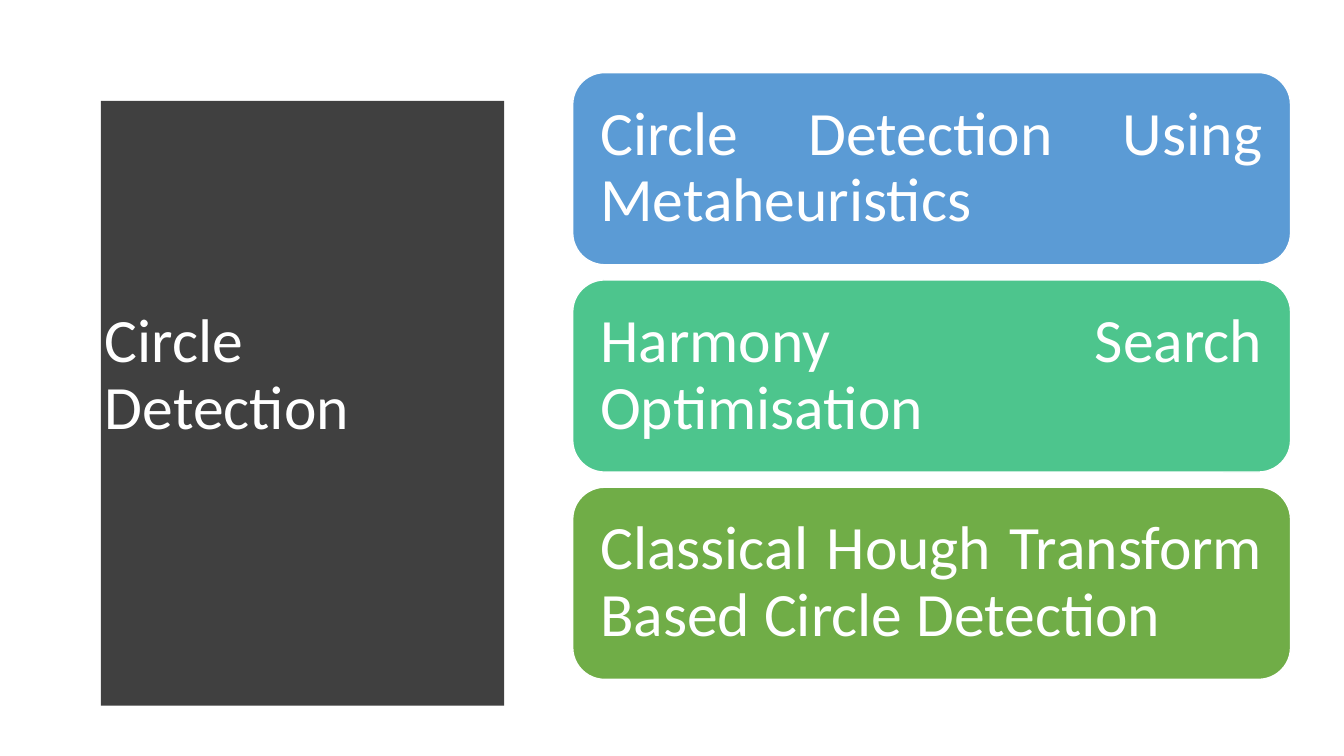
from pptx import Presentation
from pptx.dml.color import RGBColor
from pptx.enum import shapes, text
from pptx.util import Inches, Pt

WHITE = RGBColor(0xFF, 0xFF, 0xFF)
CHARCOAL = RGBColor(0x40, 0x40, 0x40)
BLUE = RGBColor(0x5B, 0x9B, 0xD5)
TEAL = RGBColor(0x4D, 0xC5, 0x8D)
GREEN = RGBColor(0x70, 0xAD, 0x47)

TOPICS = [
    ("Circle Detection Using Metaheuristics", BLUE),
    ("Harmony Search Optimisation", TEAL),
    ("Classical Hough Transform Based Circle Detection", GREEN),
]


def write(sp, words, align=text.PP_ALIGN.LEFT, size=44, color=WHITE, inset=0.1):
    tf = sp.text_frame
    tf.word_wrap = True
    tf.auto_size = text.MSO_AUTO_SIZE.NONE
    tf.vertical_anchor = text.MSO_ANCHOR.MIDDLE
    tf.margin_left = tf.margin_right = Inches(inset)
    tf.margin_top = tf.margin_bottom = Inches(inset)
    p = tf.paragraphs[0]
    p.alignment = align
    p.line_spacing = 0.9
    r = p.add_run()
    r.text = words
    r.font.name = "Calibri"
    r.font.size = Pt(size)
    r.font.color.rgb = color


def title_panel(s, x, y, w, h, bulge=0.24, steps=40):
    edge = []
    for i in range(steps + 1):
        t = 2 * i / steps - 1
        edge.append((x + w - bulge * t * t, y + h * i / steps))
    builder = s.shapes.build_freeform(x, y, scale=Inches(1))
    builder.add_line_segments(edge + [(x, y + h)], close=True)
    panel = builder.convert_to_shape()
    panel.shadow.inherit = False
    panel.fill.solid()
    panel.fill.fore_color.rgb = CHARCOAL
    panel.line.fill.background()

    title = s.shapes.title
    title.left, title.top = Inches(x + 0.41), Inches(y + 0.59)
    title.width, title.height = Inches(w - 1.05), Inches(h - 1.2)
    write(title, "Circle Detection")
    panel._element.addnext(title._element)


def topic_cards(s, x, y, w, h, gap=0.15):
    card_h = (h - gap * (len(TOPICS) - 1)) / len(TOPICS)
    for i, (words, color) in enumerate(TOPICS):
        top = y + i * (card_h + gap)
        sp = s.shapes.add_shape(
            shapes.MSO_SHAPE.ROUNDED_RECTANGLE,
            Inches(x), Inches(top), Inches(w), Inches(card_h))
        sp.shadow.inherit = False
        sp.fill.solid()
        sp.fill.fore_color.rgb = color
        sp.line.color.rgb = WHITE
        sp.line.width = Pt(1)
        write(sp, words, align=text.PP_ALIGN.JUSTIFY, inset=0.18)


def main():
    prs = Presentation()
    prs.slide_width, prs.slide_height = Inches(13.33), Inches(7.5)
    s = prs.slides.add_slide(prs.slide_layouts[5])
    title_panel(s, 0.53, 0.52, 4.79, 6.44)
    topic_cards(s, 5.68, 0.72, 7.12, 6.02)
    prs.save("out.pptx")


if __name__ == "__main__":
    main()
